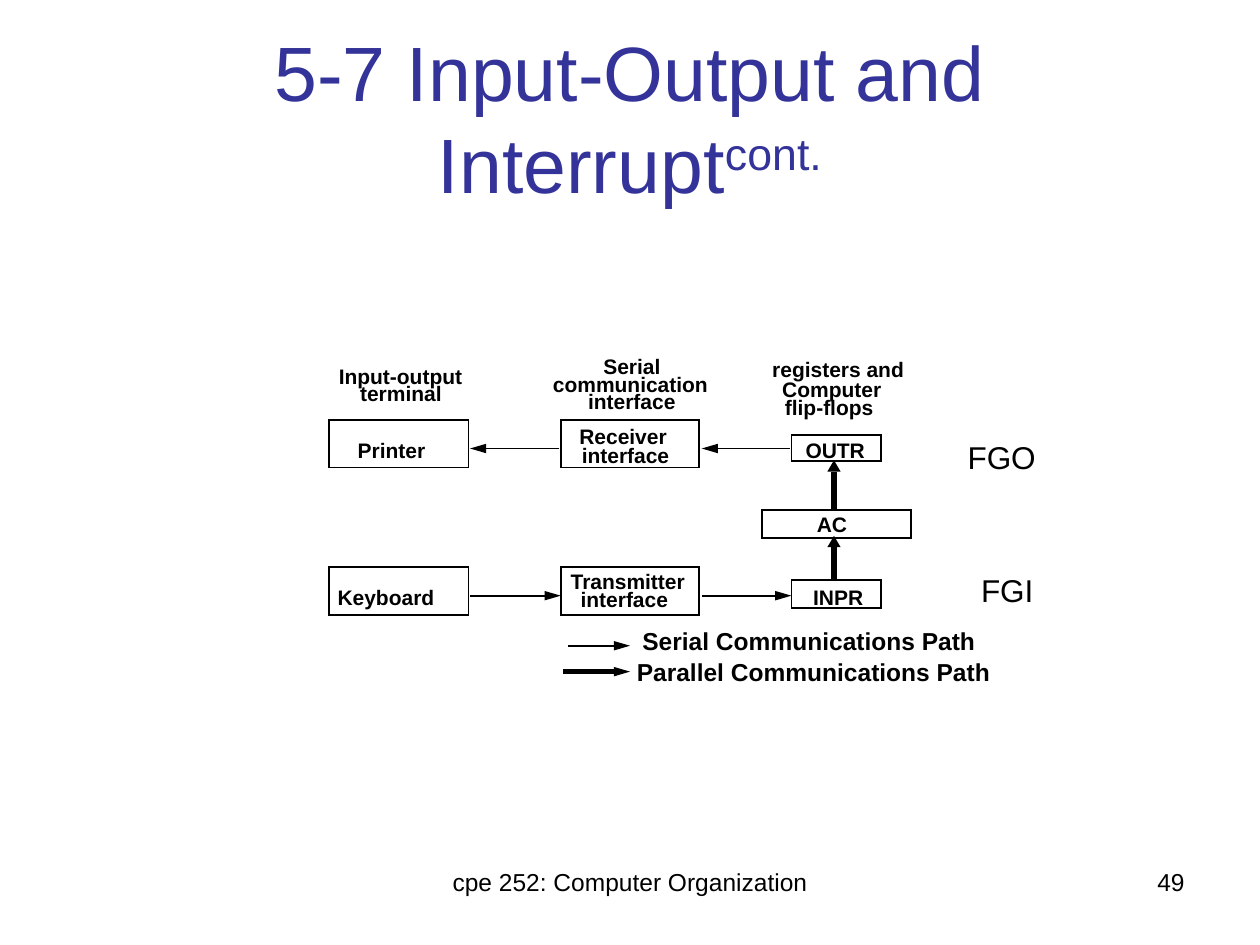
from pptx import Presentation
from pptx.dml.color import RGBColor
from pptx.enum.shapes import MSO_CONNECTOR, MSO_SHAPE
from pptx.enum.text import MSO_ANCHOR, MSO_AUTO_SIZE, PP_ALIGN
from pptx.oxml.ns import qn
from pptx.util import Pt
from lxml.etree import SubElement

COLORS = {"title": "333399", "ink": "000000"}
FONT = "Arial"
LABEL_SLACK = 2  # spare width that keeps each label on one line

# Diagram grid, in points
OUTPUT_TOP, INPUT_TOP = 239.8, 324
OUTPUT_Y, INPUT_Y = 256.3, 340.4
TERMINAL_LEFT, INTERFACE_LEFT, REGISTER_LEFT = 187.9, 320.4, 452.2
BUS_X = 476.6

BOXES = [  # left, top, width, height
    (TERMINAL_LEFT, OUTPUT_TOP, 79.9, 27.4),
    (TERMINAL_LEFT, INPUT_TOP, 79.9, 27.4),
    (INTERFACE_LEFT, OUTPUT_TOP, 79.2, 27.4),
    (INTERFACE_LEFT, INPUT_TOP, 79.2, 27.4),
    (REGISTER_LEFT, 248.4, 51.1, 15.1),
    (REGISTER_LEFT, 331.6, 51.1, 15.8),
    (435.6, 291.6, 85, 15.8),
]

SERIAL_ARROWS = [  # start, tip
    ((451.4, OUTPUT_Y), (401, OUTPUT_Y)),
    ((319.7, OUTPUT_Y), (268.6, OUTPUT_Y)),
    ((268.6, INPUT_Y), (INTERFACE_LEFT, INPUT_Y)),
    ((401, INPUT_Y), (REGISTER_LEFT, INPUT_Y)),
    ((324.7, 369), (360, 369)),
]
PARALLEL_ARROWS = [
    ((BUS_X, 291.6), (BUS_X, 263)),
    ((BUS_X, 331.2), (BUS_X, 306.2)),
    ((321.8, 383.8), (360, 383.8)),
]

LABELS = [  # text, left, top, width
    # Column headings
    ("Input-output", 186.5, 205.9, 85),
    ("terminal", 198.7, 215.5, 61.2),
    ("Serial", 337.7, 200.2, 46.8),
    ("communication", 308.9, 210.2, 103),
    ("interface", 329, 220.3, 64.1),
    ("registers and", 434.2, 201.6, 90),
    ("Computer", 439.9, 213.1, 71.3),
    ("flip-flops", 441.4, 223.6, 64.8),
    # Box captions
    ("Printer", 197.3, 248, 53.3),
    ("Keyboard", 185.8, 331.9, 69.8),
    ("Receiver", 324, 240.2, 64.1),
    ("interface", 325.4, 250.9, 64.1),
    ("Transmitter", 319, 323, 80.6),
    ("interface", 324.7, 333.4, 64.1),
    ("OUTR", 453.2, 248, 48.2),
    ("AC", 459.7, 290.5, 31.7),
    ("INPR", 457.6, 331.9, 43.2),
]
KEY_LABELS = [
    ("Serial Communications Path", 360, 356.2, 204.5),
    ("Parallel Communications Path", 356.8, 373.7, 216.7),
]
FLAG_LABELS = [("FGO", 545.8, 247, 53.3), ("FGI", 553.5, 322.6, 43.9)]


def color(name):
    return RGBColor.from_string(COLORS[name])


def style_run(run, size, bold, color_name="ink"):
    run.font.name = FONT
    run.font.size = Pt(size)
    run.font.bold = bold
    run.font.color.rgb = color(color_name)


def add_label(slide, text, left, top, width, size=12, bold=True, spacing=0.9):
    label = slide.shapes.add_textbox(
        Pt(left), Pt(top), Pt(width + LABEL_SLACK), Pt(size * 1.7))
    frame = label.text_frame
    frame.text = text
    frame.word_wrap = False
    frame.auto_size = MSO_AUTO_SIZE.SHAPE_TO_FIT_TEXT
    frame.paragraphs[0].line_spacing = spacing
    style_run(frame.paragraphs[0].runs[0], size, bold)


def add_footer(slide, text, left, width, align):
    footer = slide.shapes.add_textbox(Pt(left), Pt(491.8), Pt(width), Pt(37.4))
    footer.text_frame.word_wrap = True
    paragraph = footer.text_frame.paragraphs[0]
    paragraph.text = text
    paragraph.alignment = align
    style_run(paragraph.runs[0], 14, False)


def add_title(slide, text, suffix):
    title = slide.shapes.add_textbox(Pt(36), Pt(21.6), Pt(648), Pt(90))
    frame = title.text_frame
    frame.word_wrap = True
    frame.vertical_anchor = MSO_ANCHOR.MIDDLE
    paragraph = frame.paragraphs[0]
    paragraph.text = text
    paragraph.alignment = PP_ALIGN.CENTER
    superscript = paragraph.add_run()
    superscript.text = suffix
    for run in paragraph.runs:
        style_run(run, 44, False, "title")
    superscript.font._element.set("baseline", "30000")


def add_box(slide, left, top, width, height):
    box = slide.shapes.add_shape(
        MSO_SHAPE.RECTANGLE, Pt(left), Pt(top), Pt(width), Pt(height))
    box.shadow.inherit = False
    box.fill.background()
    box.line.color.rgb = color("ink")
    box.line.width = Pt(1)
    # Square corners
    SubElement(box._element.spPr.find(qn("a:ln")), qn("a:miter"), lim="800000")


def add_arrow(slide, start, tip, weight):
    (x1, y1), (x2, y2) = start, tip
    vertical = x1 == x2
    length, half = (6.5, 3.8) if vertical else (9.2, 2.7)
    # Unit step from the tip back towards the start
    span = abs(x1 - x2) + abs(y1 - y2)
    dx, dy = (x1 - x2) / span, (y1 - y2) / span
    base_x, base_y = x2 + dx * length, y2 + dy * length

    # Shaft
    shaft = slide.shapes.add_connector(
        MSO_CONNECTOR.STRAIGHT, Pt(x1), Pt(y1), Pt(base_x), Pt(base_y))
    shaft.line.color.rgb = color("ink")
    shaft.line.width = Pt(weight)
    SubElement(shaft._element.spPr, qn("a:effectLst"))

    # Head
    outline = slide.shapes.build_freeform(Pt(x2), Pt(y2))
    outline.add_line_segments([
        (Pt(base_x + dy * half), Pt(base_y + dx * half)),
        (Pt(base_x - dy * half), Pt(base_y - dx * half)),
    ], close=True)
    head = outline.convert_to_shape()
    head.shadow.inherit = False
    head.fill.solid()
    head.fill.fore_color.rgb = color("ink")
    head.line.fill.background()


def main():
    deck = Presentation()
    deck.slide_width, deck.slide_height = Pt(720), Pt(540)
    slide = deck.slides.add_slide(deck.slide_layouts[6])

    # Title and footer
    add_title(slide, "5-7 Input-Output and Interrupt", "cont.")
    add_footer(slide, "cpe 252: Computer Organization", 246, 228.2, PP_ALIGN.CENTER)
    add_footer(slide, "49", 516.2, 167.8, PP_ALIGN.RIGHT)

    # Diagram
    for box in BOXES:
        add_box(slide, *box)
    for start, tip in SERIAL_ARROWS:
        add_arrow(slide, start, tip, 1)
    for start, tip in PARALLEL_ARROWS:
        add_arrow(slide, start, tip, 3)

    # Labels
    for label in LABELS:
        add_label(slide, *label)
    for label in KEY_LABELS:
        add_label(slide, *label, size=14)
    for label in FLAG_LABELS:
        add_label(slide, *label, size=18, bold=False, spacing=1.0)

    deck.save("out.pptx")


if __name__ == "__main__":
    main()
